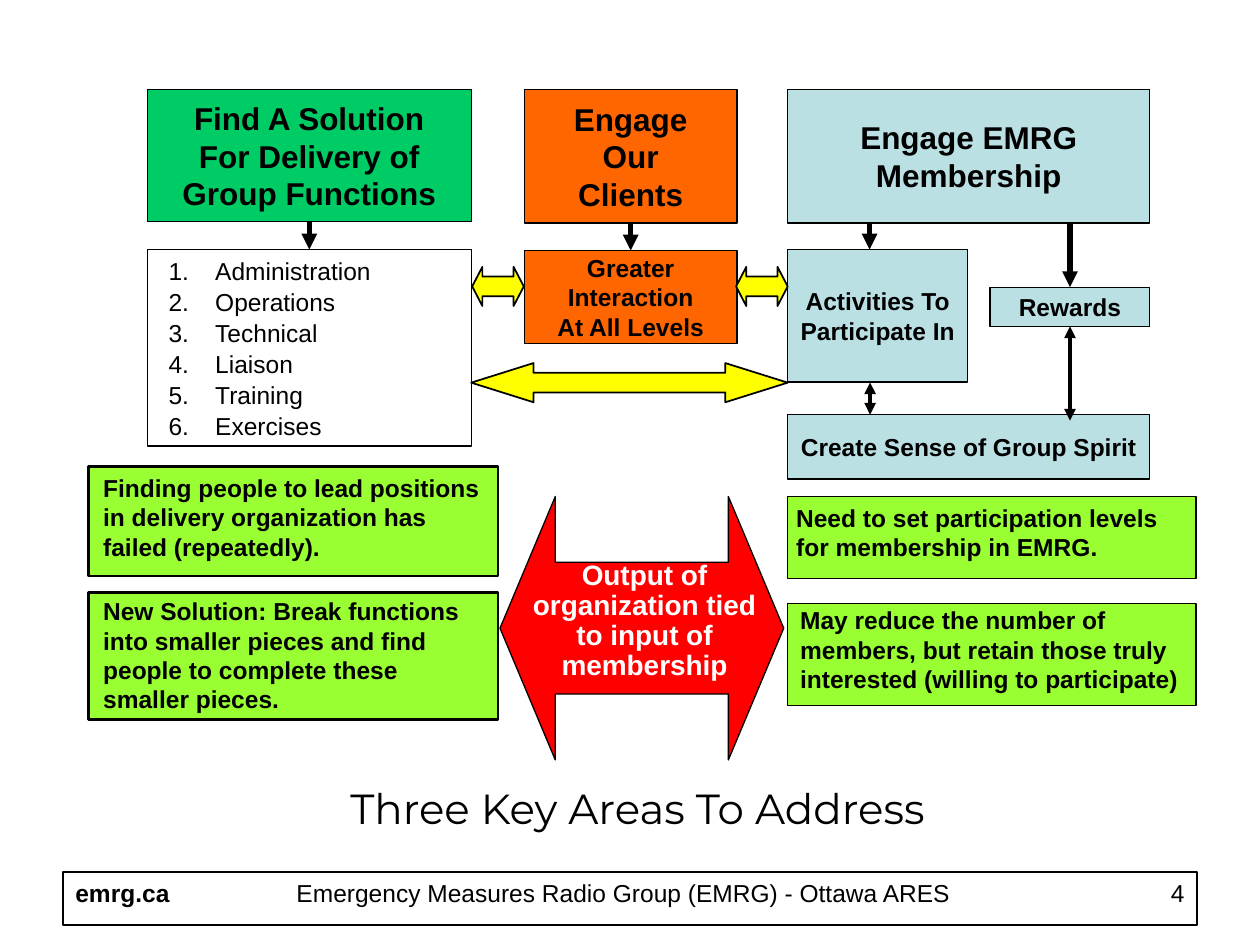
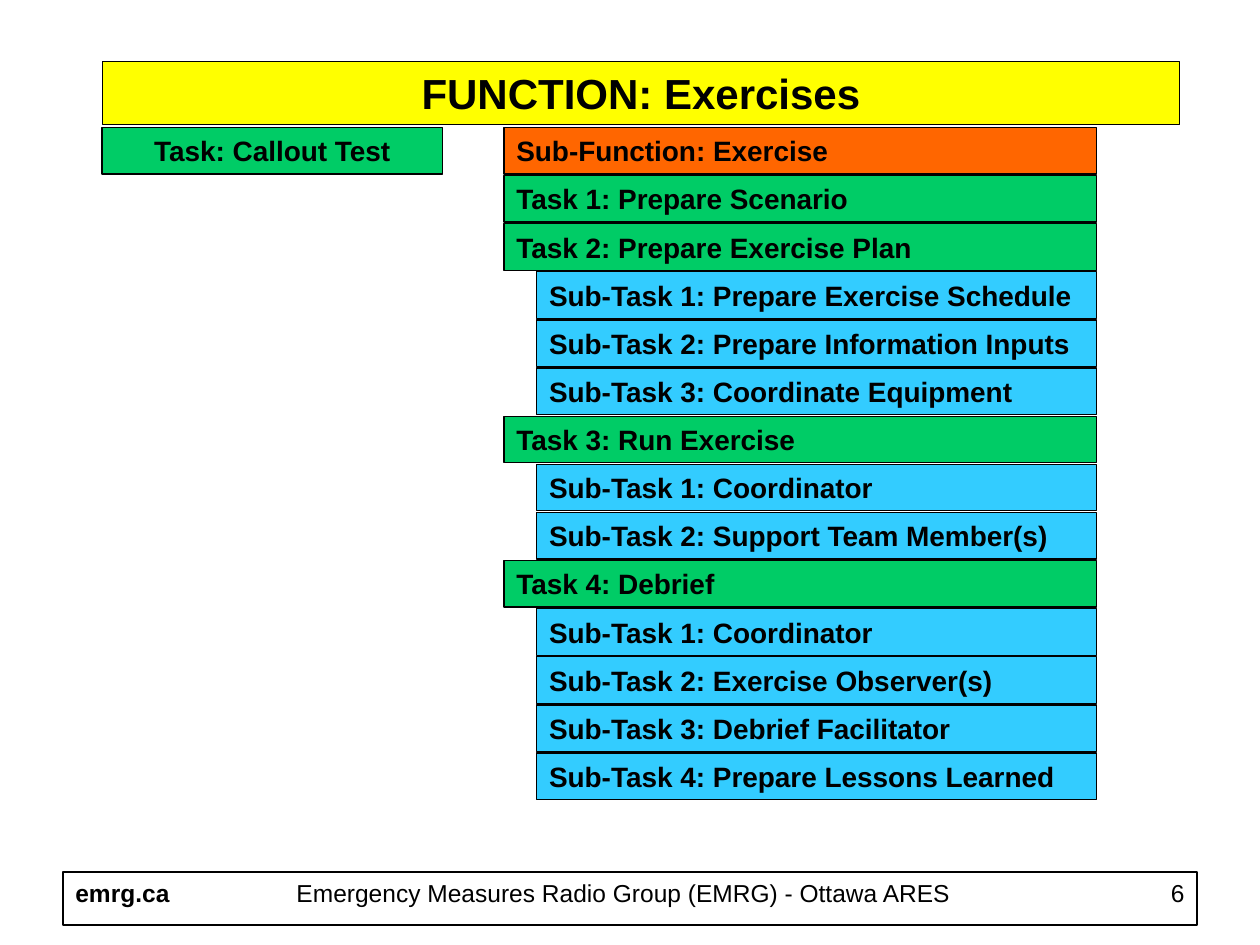
import pptx
import pptx.util
import pptx.dml.color
import pptx.enum.shapes
import pptx.enum.text
import pptx.oxml
import pptx.oxml.ns

Cm = pptx.util.Cm
Pt = pptx.util.Pt
RGBColor = pptx.dml.color.RGBColor
SHAPE = pptx.enum.shapes.MSO_SHAPE
ALIGN = pptx.enum.text.PP_ALIGN
ANCHOR = pptx.enum.text.MSO_ANCHOR

BLACK = RGBColor(0x00, 0x00, 0x00)
WHITE = RGBColor(0xFF, 0xFF, 0xFF)
GREEN = RGBColor(0x00, 0xCC, 0x66)
ORANGE = RGBColor(0xFF, 0x66, 0x00)
PALE_BLUE = RGBColor(0xBB, 0xE0, 0xE3)
SKY_BLUE = RGBColor(0x33, 0xCC, 0xFF)
LIME = RGBColor(0x99, 0xFF, 0x33)
YELLOW = RGBColor(0xFF, 0xFF, 0x00)
RED = RGBColor(0xFF, 0x00, 0x00)


def write_text(shape, text, size=14, bold=True, color=BLACK, font="Arial",
               align=ALIGN.LEFT, anchor=ANCHOR.TOP, wrap=True,
               insets=(0.25, 0.13), line_spacing=None, numbered=False):
    """Fill a shape with one paragraph per line; insets are left and top in cm."""
    frame = shape.text_frame
    frame.auto_size = pptx.enum.text.MSO_AUTO_SIZE.NONE
    frame.word_wrap = wrap
    frame.vertical_anchor = anchor
    frame.margin_left, frame.margin_top = Cm(insets[0]), Cm(insets[1])
    frame.margin_right = Cm(min(insets[0], 0.25))
    frame.margin_bottom = Cm(0.13)
    frame.text = text
    for index, para in enumerate(frame.paragraphs):
        para.alignment = align
        if line_spacing:
            para.line_spacing = line_spacing
        if numbered:
            if index:
                para.space_before = Pt(0.9)
            properties = para._p.get_or_add_pPr()
            properties.set("marL", str(Cm(1.12)))
            properties.set("indent", str(-Cm(0.94)))
            properties.append(pptx.oxml.parse_xml(
                f'<a:buAutoNum {pptx.oxml.ns.nsdecls("a")} type="arabicPeriod"/>'))
        for span in para.runs:
            span.font.name = font
            span.font.size = Pt(size)
            span.font.bold = bold
            span.font.color.rgb = color


def add_box(page, place, fill=None, kind=SHAPE.RECTANGLE, line=0.75):
    """Add an outlined shape; place is left, top, width, height in cm."""
    box = page.shapes.add_shape(kind, *map(Cm, place))
    box.shadow.inherit = False
    if fill is None:
        box.fill.background()
    else:
        box.fill.solid()
        box.fill.fore_color.rgb = fill
    box.line.color.rgb = BLACK
    box.line.width = Pt(line)
    return box


deck = pptx.Presentation()
deck.slide_width, deck.slide_height = Cm(25.4), Cm(19.05)
title_only = deck.slide_layouts[5]
areas_page = deck.slides.add_slide(title_only)
exercises_page = deck.slides.add_slide(title_only)

# Footer and titles
FOOTER_TOP = 17.58
TITLES = [
    (areas_page, "4", "Three Key Areas To Address", (2.13, 15.65, 21.44, 1.27),
     dict(font="Montserrat", bold=False)),
    (exercises_page, "6", "FUNCTION: Exercises", (2.06, 1.24, 21.72, 1.27), {}),
]
for page, number, heading, place, style in TITLES:
    add_box(page, (1.27, FOOTER_TOP, 22.86, 1.07), line=1)
    for text, left, width, align, bold in [
        ("emrg.ca", 1.27, 2.57, ALIGN.LEFT, True),
        ("Emergency Measures Radio Group (EMRG) - Ottawa ARES",
         4.19, 16.76, ALIGN.CENTER, False),
        (number, 21.11, 3.02, ALIGN.RIGHT, False),
    ]:
        footer = page.shapes.add_textbox(Cm(left), Cm(FOOTER_TOP), Cm(width), Cm(1.07))
        write_text(footer, text, bold=bold, align=align)
    title = page.shapes.title
    title.left, title.top, title.width, title.height = map(Cm, place)
    write_text(title, heading, size=24, align=ALIGN.CENTER, **style)

title = exercises_page.shapes.title
title.fill.solid()
title.fill.fore_color.rgb = YELLOW
title.line.color.rgb = BLACK
title.line.width = Pt(0.75)

# Three key areas: boxes
AREA_BOXES = [
    ("solution", "Find A Solution\nFor Delivery of\nGroup Functions",
     (2.97, 1.8, 6.53, 2.67), GREEN, 18),
    ("clients", "Engage\nOur\nClients", (10.57, 1.8, 4.29, 2.7), ORANGE, 18),
    ("membership", "Engage EMRG\nMembership", (15.88, 1.8, 7.3, 2.7), PALE_BLUE, 18),
    ("interaction", "Greater\nInteraction\nAt All Levels",
     (10.57, 5.05, 4.29, 1.88), ORANGE, 14),
    ("activities", "Activities To\nParticipate In",
     (15.88, 5.03, 3.63, 2.67), PALE_BLUE, 14),
    ("rewards", "Rewards", (19.96, 5.79, 3.22, 0.79), PALE_BLUE, 14),
    ("spirit", "Create Sense of Group Spirit",
     (15.88, 8.36, 7.3, 1.3), PALE_BLUE, 14),
]
boxes = {}
for name, text, place, fill, size in AREA_BOXES:
    boxes[name] = add_box(areas_page, place, fill)
    write_text(boxes[name], text, size=size, align=ALIGN.CENTER,
               anchor=ANCHOR.MIDDLE, wrap=False)

boxes["functions"] = add_box(areas_page, (2.97, 5.03, 6.53, 3.96))
write_text(boxes["functions"],
           "Administration\nOperations\nTechnical\nLiaison\nTraining\nExercises",
           bold=False, numbered=True)

# Three key areas: notes
NOTES = [
    ("Finding people to lead positions in delivery organization has failed (repeatedly).",
     (1.78, 9.4, 8.26, 2.21), 1.5, (0.3, 0.13)),
    ("New Solution: Break functions into smaller pieces and find people to complete "
     "these smaller pieces.", (1.78, 11.94, 8.26, 2.57), 1.5, (0.3, 0.08)),
    ("Need to set participation levels for membership in EMRG.",
     (15.88, 10.01, 8.23, 1.65), 0.75, (0.17, 0.13)),
    ("May reduce the number of members, but retain those truly interested "
     "(willing to participate)", (15.88, 12.17, 8.23, 2.06), 0.75, (0.25, 0.03)),
]
for text, place, line, insets in NOTES:
    write_text(add_box(areas_page, place, LIME, line=line), text, insets=insets)

# Three key areas: block arrows
for place, fill, head, line in [
    ((9.52, 5.38, 1.04, 0.79), YELLOW, 0.26, 1),
    ((14.84, 5.38, 1.04, 0.79), YELLOW, 0.26, 1),
    ((9.5, 7.32, 6.38, 0.79), YELLOW, 1.59, 1),
    ((10.08, 10.01, 5.72, 5.31), RED, 0.21, 0.75),
]:
    arrow = add_box(areas_page, place, fill, SHAPE.LEFT_RIGHT_ARROW, line)
    arrow.adjustments[0], arrow.adjustments[1] = 0.5, head

output_label = areas_page.shapes.add_textbox(Cm(10.19), Cm(11.18), Cm(5.61), Cm(2.69))
write_text(output_label, "Output of organization tied to input of membership",
           size=16, color=WHITE, align=ALIGN.CENTER, line_spacing=0.9)

# Three key areas: connectors (x, top, bottom, joined boxes, width, two-headed)
BOTTOM, TOP = 2, 0
for x, top, bottom, above, below, width, two_headed in [
    (6.24, 4.47, 5.03, "solution", "functions", 3, False),
    (12.71, 4.5, 5.05, "clients", "interaction", 3, False),
    (17.53, 4.5, 5.03, None, None, 3, False),
    (21.57, 4.5, 5.79, None, "rewards", 3, False),
    (17.54, 7.71, 8.36, None, None, 2.25, True),
    (21.57, 6.58, 8.48, "rewards", None, 2.25, True),
]:
    link = areas_page.shapes.add_connector(
        pptx.enum.shapes.MSO_CONNECTOR.STRAIGHT, Cm(x), Cm(top), Cm(x), Cm(bottom))
    if above:
        link.begin_connect(boxes[above], BOTTOM)
    if below:
        link.end_connect(boxes[below], TOP)
    link.line.color.rgb = BLACK
    link.line.width = Pt(width)
    outline = link.line._get_or_add_ln()
    for end in ["headEnd", "tailEnd"] if two_headed else ["tailEnd"]:
        outline.append(pptx.oxml.parse_xml(
            f'<a:{end} {pptx.oxml.ns.nsdecls("a")} type="triangle"/>'))
    link._element.spPr.append(pptx.oxml.parse_xml(
        f'<a:effectLst {pptx.oxml.ns.nsdecls("a")}/>'))

# Exercises: task list
ROW_TOP, ROW_PITCH, ROW_HEIGHT = 2.57, 0.97, 0.94
LIST_RIGHT = 22.1
FUNCTION, TASK, SUBTASK = (10.16, ORANGE), (10.16, GREEN), (10.82, SKY_BLUE)
ROWS = [
    (FUNCTION, "Sub-Function: Exercise"),
    (TASK, "Task 1: Prepare Scenario"),
    (TASK, "Task 2: Prepare Exercise Plan"),
    (SUBTASK, "Sub-Task 1: Prepare Exercise Schedule"),
    (SUBTASK, "Sub-Task 2: Prepare Information Inputs"),
    (SUBTASK, "Sub-Task 3: Coordinate Equipment"),
    (TASK, "Task 3: Run Exercise"),
    (SUBTASK, "Sub-Task 1: Coordinator"),
    (SUBTASK, "Sub-Task 2: Support Team Member(s)"),
    (TASK, "Task 4: Debrief"),
    (SUBTASK, "Sub-Task 1: Coordinator"),
    (SUBTASK, "Sub-Task 2: Exercise Observer(s)"),
    (SUBTASK, "Sub-Task 3: Debrief Facilitator"),
    (SUBTASK, "Sub-Task 4: Prepare Lessons Learned"),
]
for index, ((left, fill), text) in enumerate(ROWS):
    place = (left, ROW_TOP + index * ROW_PITCH, LIST_RIGHT - left, ROW_HEIGHT)
    write_text(add_box(exercises_page, place, fill), text, size=16)

callout_test = add_box(exercises_page, (2.06, ROW_TOP, 6.86, ROW_HEIGHT), GREEN)
write_text(callout_test, "Task: Callout Test", size=16, align=ALIGN.CENTER)

deck.save("out.pptx")
